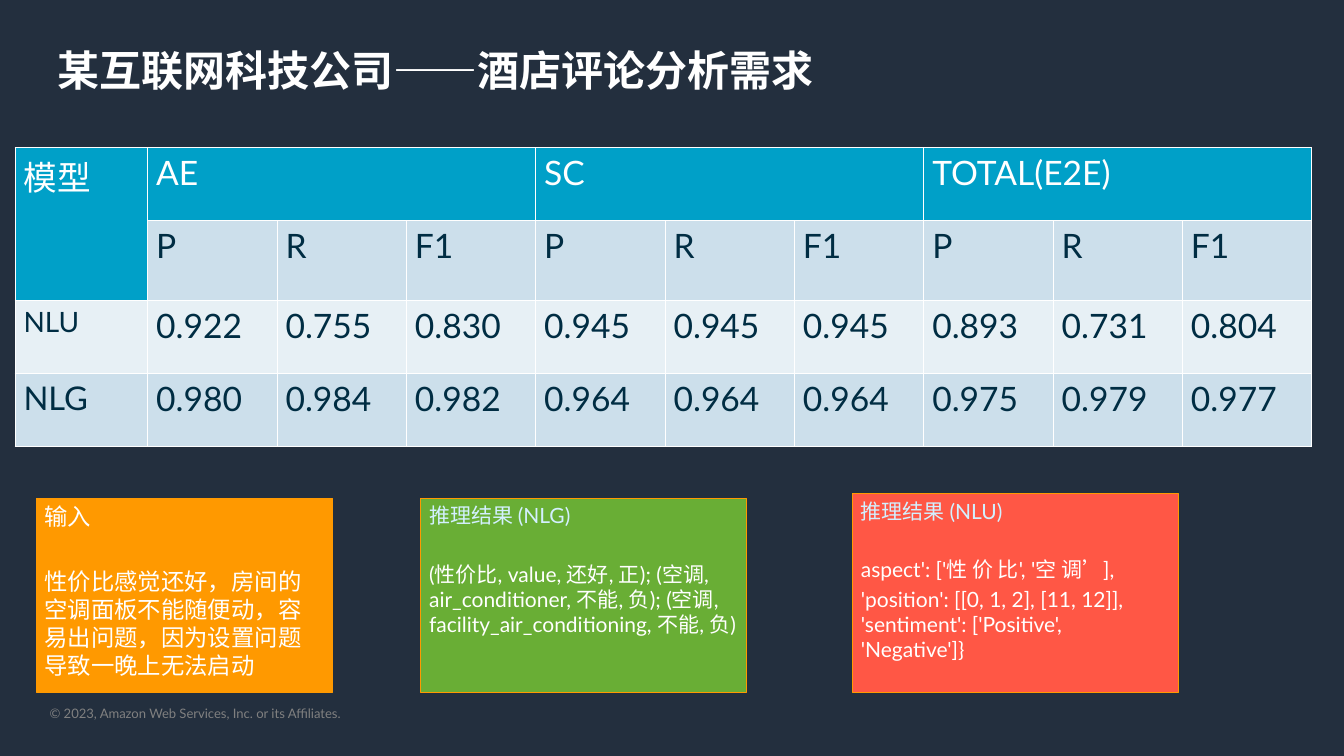
from dataclasses import dataclass

from lxml import etree
from pptx import Presentation
from pptx.dml.color import RGBColor
from pptx.enum.shapes import MSO_SHAPE
from pptx.enum.text import MSO_ANCHOR, PP_ALIGN
from pptx.oxml.ns import qn
from pptx.util import Inches, Pt

RECTANGLE = MSO_SHAPE.RECTANGLE
TOP, MIDDLE = MSO_ANCHOR.TOP, MSO_ANCHOR.MIDDLE
LEFT = PP_ALIGN.LEFT
TITLE_ONLY = 5
SLIDE_WIDTH, SLIDE_HEIGHT = 16, 9


@dataclass(frozen=True)
class Theme:
    font: str = "Lato"
    background: str = "232F3E"
    white: str = "FFFFFF"
    grey: str = "808080"
    ink: str = "002D43"
    header: str = "00A0C8"
    band: str = "CCDFEB"
    pale_band: str = "E7F0F5"
    orange: str = "FF9900"
    green: str = "69AE35"
    red: str = "FF5745"
    ice: str = "D3F0FF"
    title_size: float = 36
    table_size: float = 28.8
    footer_size: float = 11.2


THEME = Theme()

# Model scores: precision, recall and F1 for each task
TASKS = ["AE", "SC", "TOTAL(E2E)"]
METRICS = ["P", "R", "F1"]
SCORES = [
    ("NLU", 24, THEME.pale_band,
     [0.922, 0.755, 0.830, 0.945, 0.945, 0.945, 0.893, 0.731, 0.804]),
    ("NLG", 28, THEME.band,
     [0.980, 0.984, 0.982, 0.964, 0.964, 0.964, 0.975, 0.979, 0.977]),
]

# Example boxes: left, top, width, fill, text size, heading colour, heading, body
BOX_BOTTOM = 8.24
EXAMPLES = [
    (0.43, 5.93, 3.53, THEME.orange, 20, THEME.white, "输入",
     ["性价比感觉还好，房间的空调面板不能随便动，容易出问题，因为设置问题导致一晚上无法启动"]),
    (5.01, 5.93, 3.88, THEME.green, 18, THEME.ice, "推理结果 (NLG)",
     ["(性价比, value, 还好, 正); (空调, air_conditioner, 不能, 负); "
      "(空调, facility_air_conditioning, 不能, 负)"]),
    (10.15, 5.88, 3.88, THEME.red, 18, THEME.ice, "推理结果 (NLU)",
     ["aspect': ['性 价 比', '空 调’],",
      "'position': [[0, 1, 2], [11, 12]], 'sentiment': ['Positive', 'Negative']}"]),
]


def color(value):
    return RGBColor.from_string(value)


def write(para, text, size, ink, bold=False):
    para.text = text
    para.alignment = LEFT
    font = para.font
    font.name, font.size, font.bold = THEME.font, Pt(size), bold
    font.color.rgb = color(ink)


def add_title(page, text):
    title = page.shapes.title
    title.left, title.top = Inches(0.59), Inches(0.47)
    title.width, title.height = Inches(9.29), Inches(0.71)
    frame = title.text_frame
    frame.word_wrap = False
    frame.vertical_anchor = MIDDLE
    write(frame.paragraphs[0], text, THEME.title_size, THEME.white, bold=True)


def add_footer(page, text):
    box = page.shapes.add_textbox(Inches(0.59), Inches(8.4), Inches(7.78), Inches(0.19))
    frame = box.text_frame
    frame.word_wrap = True
    frame.margin_left = frame.margin_top = frame.margin_right = frame.margin_bottom = 0
    write(frame.paragraphs[0], text, THEME.footer_size, THEME.grey)


def style_cell(cell, fill):
    properties = cell._tc.get_or_add_tcPr()
    for side in ("a:lnL", "a:lnR", "a:lnT", "a:lnB"):
        line = etree.SubElement(properties, qn(side), w=str(Pt(1)))
        paint = etree.SubElement(line, qn("a:solidFill"))
        etree.SubElement(paint, qn("a:srgbClr"), val=THEME.white)
    cell.fill.solid()
    cell.fill.fore_color.rgb = color(fill)


def fill_cell(cell, text, ink, size=THEME.table_size):
    write(cell.text_frame.paragraphs[0], text, size, ink)


def add_score_table(page):
    score_count = len(TASKS) * len(METRICS)
    row_heights = [0.87, 0.95, 0.87, 0.87]
    column_widths = [1.58] + [1.54] * score_count
    table = page.shapes.add_table(
        len(row_heights), len(column_widths), Inches(0.18), Inches(1.76),
        Inches(sum(column_widths)), Inches(sum(row_heights))).table
    table.first_row = table.horz_banding = False
    for row, height in zip(table.rows, row_heights):
        row.height = Inches(height)
    for column, width in zip(table.columns, column_widths):
        column.width = Inches(width)

    # Fills and borders
    row_fills = [THEME.header, THEME.band] + [entry[2] for entry in SCORES]
    for row, fill in zip(table.rows, row_fills):
        for cell in row.cells:
            style_cell(cell, fill)

    # Two header rows
    table.cell(0, 0).merge(table.cell(1, 0))
    fill_cell(table.cell(0, 0), "模型", THEME.white)
    for index, task in enumerate(TASKS):
        first = 1 + index * len(METRICS)
        table.cell(0, first).merge(table.cell(0, first + len(METRICS) - 1))
        fill_cell(table.cell(0, first), task, THEME.white)
        for offset, metric in enumerate(METRICS):
            fill_cell(table.cell(1, first + offset), metric, THEME.ink)

    # Score rows
    for row, (model, size, _, scores) in enumerate(SCORES, start=2):
        fill_cell(table.cell(row, 0), model, THEME.ink, size)
        for column, score in enumerate(scores, start=1):
            fill_cell(table.cell(row, column), f"{score:.3f}", THEME.ink)


def add_example(page, left, top, width, fill, size, heading_ink, heading, body):
    box = page.shapes.add_shape(RECTANGLE, Inches(left), Inches(top),
                                Inches(width), Inches(BOX_BOTTOM - top))
    box.shadow.inherit = False
    box.fill.solid()
    box.fill.fore_color.rgb = color(fill)
    box.line.color.rgb = color(THEME.orange)
    box.line.width = Pt(0.75)
    frame = box.text_frame
    frame.word_wrap = True
    frame.vertical_anchor = TOP
    write(frame.paragraphs[0], heading, size, heading_ink)
    for index, text in enumerate(body):
        para = frame.add_paragraph()
        write(para, text, size, THEME.white)
        para.space_before = Pt(size * (0.2 if index else 1.6))


def main():
    deck = Presentation()
    deck.slide_width, deck.slide_height = Inches(SLIDE_WIDTH), Inches(SLIDE_HEIGHT)
    page = deck.slides.add_slide(deck.slide_layouts[TITLE_ONLY])
    page.background.fill.solid()
    page.background.fill.fore_color.rgb = color(THEME.background)
    add_footer(page, "© 2023, Amazon Web Services, Inc. or its Affiliates.")
    add_title(page, "某互联网科技公司——酒店评论分析需求")
    add_score_table(page)
    for example in EXAMPLES:
        add_example(page, *example)
    deck.save("out.pptx")


if __name__ == "__main__":
    main()
